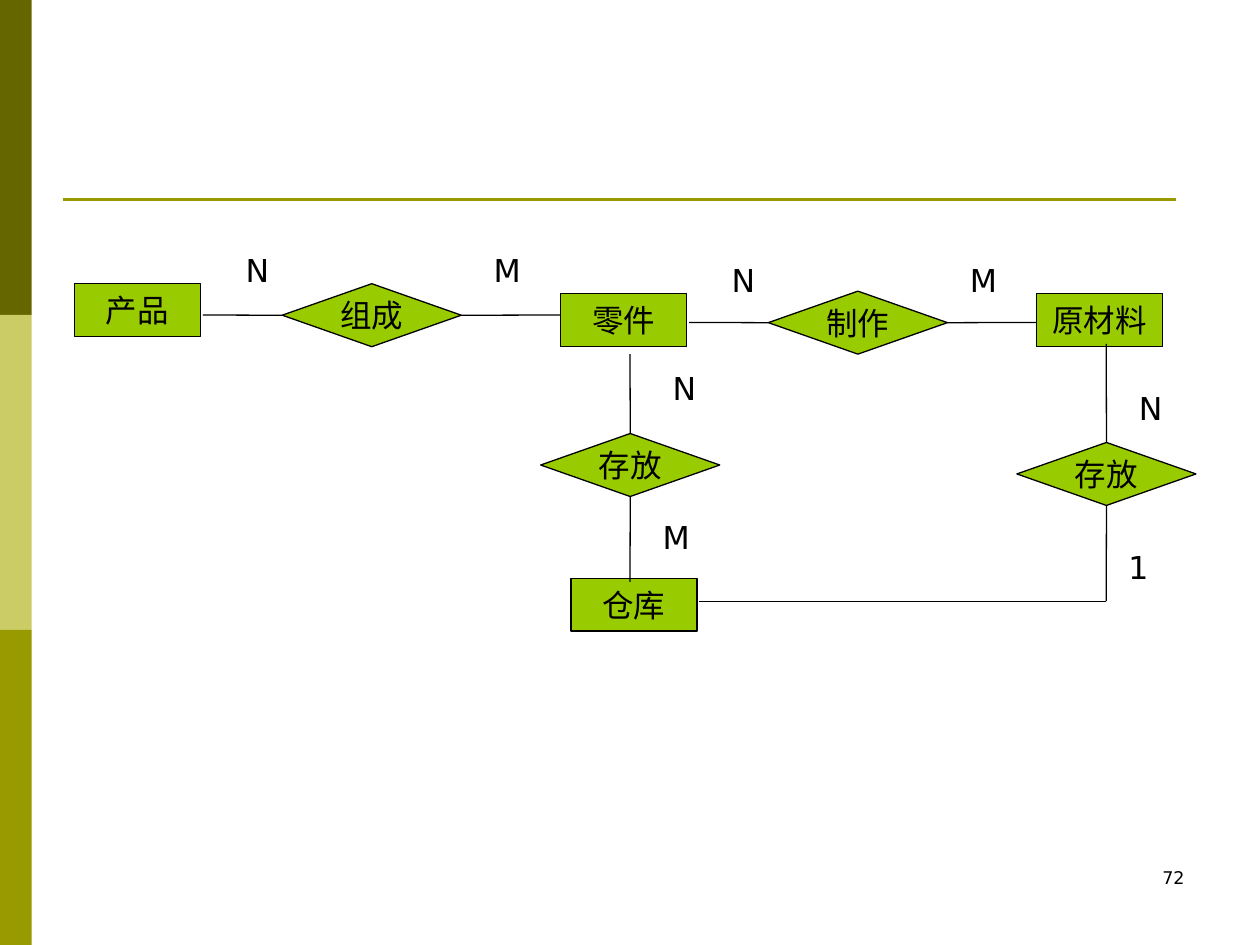
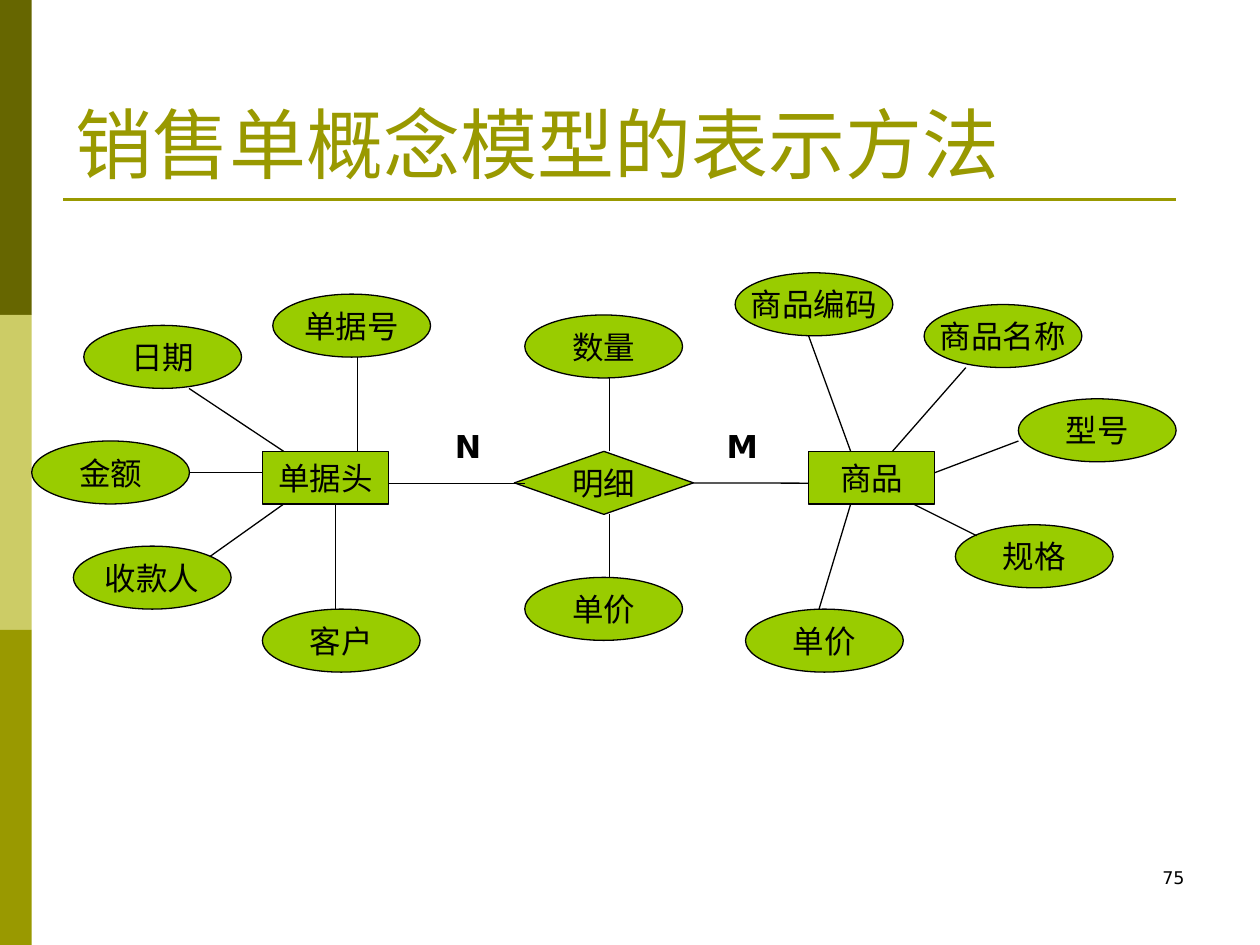
from dataclasses import dataclass
from typing import Any, NamedTuple, Optional

from lxml import etree
from pptx import Presentation
from pptx import util as u
from pptx.dml.color import RGBColor
from pptx.enum import shapes, text
from pptx.oxml.ns import qn

BOX = shapes.MSO_SHAPE.RECTANGLE
DIAMOND = shapes.MSO_SHAPE.FLOWCHART_DECISION
OVAL = shapes.MSO_SHAPE.OVAL
TOP, LEFT, BOTTOM, RIGHT = range(4)


@dataclass(frozen=True)
class Theme:
    ink: str = "000000"
    node: str = "99CC00"
    accent: str = "999900"
    bands: tuple[str, ...] = ("666600", "CCCC66", "999900")
    font: str = "DejaVu Sans"
    title_font: str = "Times New Roman"
    title_size: float = 44
    body_size: float = 18
    number_size: float = 10
    thin: float = 0.75
    rule: float = 1.5


THEME = Theme()
NODE_SIZES = {BOX: (2.54, 1.06), DIAMOND: (3.61, 1.27), OVAL: (3.18, 1.27)}


class Area(NamedTuple):
    left: float
    top: float
    width: float
    height: float


class Node(NamedTuple):
    kind: Any
    name: str
    left: float
    top: float


class Joint(NamedTuple):
    node: int
    side: int


class Link(NamedTuple):
    x1: float
    y1: float
    x2: float
    y2: float
    begin: Optional[Joint] = None
    end: Optional[Joint] = None


class Label(NamedTuple):
    name: str
    left: float
    top: float


@dataclass(frozen=True)
class Diagram:
    number: str
    nodes: list[Node]
    links: list[Link]
    labels: list[Label]
    title: str = ""
    bold_labels: bool = False


TITLE_AREA = Area(1.27, 0.76, 22.86, 3.18)
NUMBER_AREA = Area(18.21, 17.35, 5.92, 1.27)

WAREHOUSE = Diagram(
    number="72",
    nodes=[
        Node(BOX, "产品", 1.5, 5.72),
        Node(BOX, "零件", 11.3, 5.92),
        Node(BOX, "原材料", 20.9, 5.92),
        Node(BOX, "仓库", 11.51, 11.66),
        Node(DIAMOND, "组成", 5.69, 5.72),
        Node(DIAMOND, "制作", 15.49, 5.87),
        Node(DIAMOND, "存放", 10.9, 8.74),
        Node(DIAMOND, "存放", 20.5, 8.92),
    ],
    links=[
        Link(4.09, 6.35, 5.69, 6.35, end=Joint(4, LEFT)),
        Link(9.3, 6.35, 11.3, 6.35, begin=Joint(4, RIGHT)),
        Link(13.89, 6.5, 15.49, 6.5, end=Joint(5, LEFT)),
        Link(19.1, 6.5, 20.9, 6.5, begin=Joint(5, RIGHT)),
        Link(12.7, 7.14, 12.7, 8.74, end=Joint(6, TOP)),
        Link(12.7, 10.01, 12.7, 11.73, begin=Joint(6, BOTTOM)),
        Link(22.3, 6.93, 22.3, 8.92, end=Joint(7, TOP)),
        Link(22.3, 10.19, 22.3, 12.12, begin=Joint(7, BOTTOM)),
        Link(14.1, 12.12, 22.3, 12.12),
    ],
    labels=[
        Label("N", 4.7, 4.93),
        Label("M", 9.7, 4.93),
        Label("N", 14.5, 5.13),
        Label("M", 19.3, 5.13),
        Label("N", 13.31, 7.32),
        Label("M", 13.11, 10.31),
        Label("N", 22.71, 7.72),
        Label("1", 22.5, 10.92),
    ],
)

SALES_SLIP = Diagram(
    number="75",
    title="销售单概念模型的表示方法",
    bold_labels=True,
    nodes=[
        Node(BOX, "单据头", 5.29, 9.1),
        Node(DIAMOND, "明细", 10.37, 9.1),
        Node(BOX, "商品", 16.3, 9.1),
        Node(OVAL, "日期", 1.69, 6.56),
        Node(OVAL, "单据号", 5.5, 5.93),
        Node(OVAL, "金额", 0.64, 8.89),
        Node(OVAL, "收款人", 1.48, 11.01),
        Node(OVAL, "客户", 5.29, 12.28),
        Node(OVAL, "商品编码", 14.82, 5.5),
        Node(OVAL, "商品名称", 18.63, 6.14),
        Node(OVAL, "型号", 20.53, 8.04),
        Node(OVAL, "规格", 19.26, 10.58),
        Node(OVAL, "单价", 15.03, 12.28),
        Node(OVAL, "数量", 10.58, 6.35),
        Node(OVAL, "单价", 10.58, 11.64),
    ],
    links=[
        Link(7.83, 9.74, 10.58, 9.74),
        Link(13.98, 9.74, 16.3, 9.74, begin=Joint(1, RIGHT)),
        Link(7.2, 7.2, 7.2, 9.1),
        Link(3.81, 7.83, 5.72, 9.1),
        Link(3.81, 9.53, 5.29, 9.53),
        Link(4.23, 11.22, 5.72, 10.16),
        Link(6.77, 12.28, 6.77, 10.16),
        Link(16.3, 6.77, 17.15, 9.1),
        Link(17.99, 9.1, 19.47, 7.41),
        Link(18.84, 9.53, 20.53, 8.89),
        Link(17.15, 10.16, 16.51, 12.28),
        Link(18.41, 10.16, 19.69, 10.8),
        Link(12.28, 7.62, 12.28, 9.1),
        Link(12.28, 10.37, 12.28, 11.64),
    ],
    labels=[Label("N", 8.92, 8.48), Label("M", 14.4, 8.48)],
)


def cm(values: tuple[float, ...]) -> list[u.Cm]:
    return [u.Cm(value) for value in values]


def write(shape: Any, words: str, color: str = THEME.ink,
          align: Any = text.PP_ALIGN.LEFT, anchor: Any = text.MSO_ANCHOR.TOP,
          wrap: bool = True, **font_format: Any) -> None:
    frame = shape.text_frame
    frame.word_wrap = wrap
    frame.vertical_anchor = anchor
    paragraph = frame.paragraphs[0]
    paragraph.text = words
    paragraph.alignment = align
    font = paragraph.runs[0].font
    defaults = {"name": THEME.font, "size": u.Pt(THEME.body_size)}
    for attribute, value in (defaults | font_format).items():
        setattr(font, attribute, value)
    font.color.rgb = RGBColor.from_string(color)


def add_filled(slide: Any, kind: Any, area: Area, fill: str) -> Any:
    shape = slide.shapes.add_shape(kind, *cm(area))
    shape.shadow.inherit = False
    shape.fill.solid()
    shape.fill.fore_color.rgb = RGBColor.from_string(fill)
    shape.line.fill.background()
    return shape


def set_line(shape: Any, color: str, width: float) -> None:
    shape.line.color.rgb = RGBColor.from_string(color)
    shape.line.width = u.Pt(width)


def add_line(slide: Any, link: Link, color: str = THEME.ink,
             width: float = THEME.thin) -> Any:
    line = slide.shapes.add_connector(shapes.MSO_CONNECTOR.STRAIGHT, *cm(link[:4]))
    set_line(line, color, width)
    etree.SubElement(line._element.spPr, qn("a:effectLst"))
    return line


def add_node(slide: Any, node: Node) -> Any:
    area = Area(node.left, node.top, *NODE_SIZES[node.kind])
    shape = add_filled(slide, node.kind, area, THEME.node)
    set_line(shape, THEME.ink, THEME.thin)
    write(shape, node.name, align=text.PP_ALIGN.CENTER,
          anchor=text.MSO_ANCHOR.MIDDLE, wrap=False)
    return shape


def add_text(slide: Any, area: Area, words: str, **text_format: Any) -> None:
    write(slide.shapes.add_textbox(*cm(area)), words, **text_format)


def add_frame(slide: Any, diagram: Diagram) -> None:
    """Draw the side bands, the rule, the page number and any title."""
    for index, color in enumerate(THEME.bands):
        add_filled(slide, BOX, Area(0, index * 6.35, 0.64, 6.35), color)
    add_line(slide, Link(1.27, 4.02, 23.7, 4.02), THEME.accent, THEME.rule)
    add_text(slide, NUMBER_AREA, diagram.number, align=text.PP_ALIGN.RIGHT,
             size=u.Pt(THEME.number_size))
    if diagram.title:
        add_text(slide, TITLE_AREA, diagram.title, color=THEME.accent,
                 anchor=text.MSO_ANCHOR.BOTTOM, name=THEME.title_font,
                 size=u.Pt(THEME.title_size))


def add_diagram(presentation: Any, diagram: Diagram) -> None:
    slide = presentation.slides.add_slide(presentation.slide_layouts[6])
    add_frame(slide, diagram)
    nodes = [add_node(slide, node) for node in diagram.nodes]
    for link in diagram.links:
        line = add_line(slide, link)
        if link.begin:
            line.begin_connect(nodes[link.begin.node], link.begin.side)
        if link.end:
            line.end_connect(nodes[link.end.node], link.end.side)
    for label in diagram.labels:
        add_text(slide, Area(label.left, label.top, 1.07, 1.02), label.name,
                 bold=diagram.bold_labels)


def main() -> None:
    presentation = Presentation()
    presentation.slide_width, presentation.slide_height = cm((25.4, 19.05))
    for diagram in (WAREHOUSE, SALES_SLIP):
        add_diagram(presentation, diagram)
    presentation.save("out.pptx")


if __name__ == "__main__":
    main()
